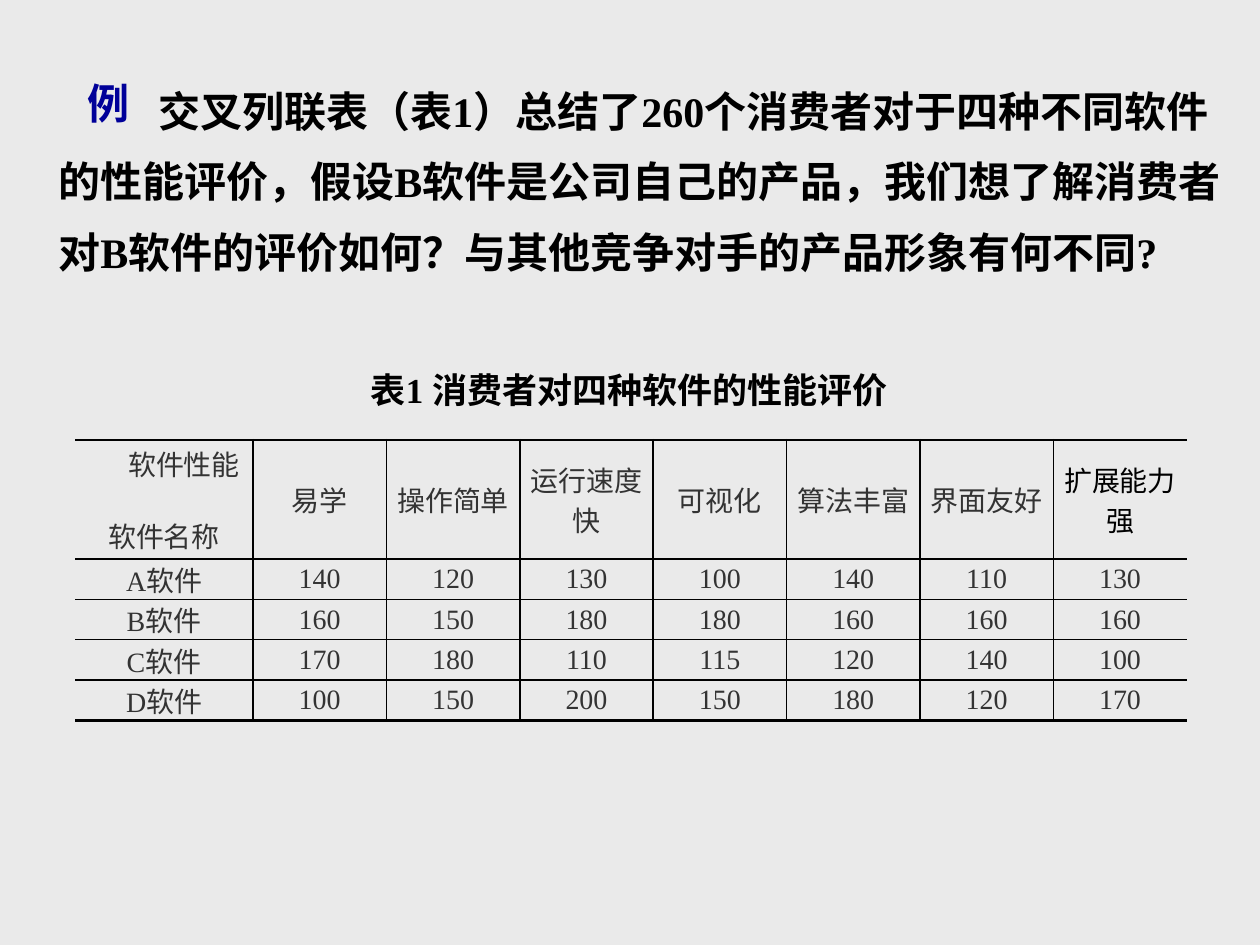
"""Build the slide on consumer ratings of four software products."""
from lxml import etree
from pptx import Presentation, util as u
from pptx.dml.color import RGBColor
from pptx.enum import text
from pptx.oxml.ns import qn

LATIN, CJK = "Times New Roman", "Noto Sans CJK SC"
INK, GREY, BLUE, PAPER = "000000", "333333", "000099", "EAEAEA"

QUESTION = "交叉列联表（表1）总结了260个消费者对于四种不同软件的性能评价，假设B软件是公司自己的产品，我们想了解消费者对B软件的评价如何？与其他竞争对手的产品形象有何不同?"
CAPTION = "表1 消费者对四种软件的性能评价"
CORNER = ("软件性能", "软件名称")
FEATURES = ["易学", "操作简单", "运行速度快", "可视化", "算法丰富", "界面友好", "扩展能力强"]
RATINGS = {
    "A软件": [140, 120, 130, 100, 140, 110, 130],
    "B软件": [160, 150, 180, 180, 160, 160, 160],
    "C软件": [170, 180, 110, 115, 120, 140, 100],
    "D软件": [100, 150, 200, 150, 180, 120, 170],
}
TABLE_BOX = (75, 440, 1112, 279)
NAME_W, HEAD_H, ROW_H = 178, 119, 40


def px(n):
    return u.Emu(round(n * 914400 / 126))


def rgb(value):
    return RGBColor.from_string(value)


def write(p, content, size=16, color=GREY, bold=False, font=LATIN,
          align=text.PP_ALIGN.CENTER, indent=0, spacing=None, before=0):
    p.alignment, p.line_spacing, p.space_before = align, spacing, u.Pt(before)
    pPr = p._p.get_or_add_pPr()
    pPr.set("marL", "0")
    pPr.set("indent", str(px(indent)))
    r = p.add_run()
    r.text = content
    r.font.size, r.font.bold, r.font.name = u.Pt(size), bold, font
    r.font.color.rgb = rgb(color)
    etree.SubElement(r._r.get_or_add_rPr(), qn("a:ea"), typeface=CJK)


def set_up(sp, box, anchor=text.MSO_ANCHOR.TOP):
    sp.left, sp.top, sp.width, sp.height = map(px, box)
    tf = sp.text_frame
    tf.word_wrap, tf.auto_size = True, text.MSO_AUTO_SIZE.NONE
    tf.vertical_anchor = anchor
    return tf.paragraphs[0]


def set_borders(cell, widths):
    tcPr = cell._tc.get_or_add_tcPr()
    for i, (side, width) in enumerate(zip("LRTB", widths)):
        ln = etree.Element(qn(f"a:ln{side}"), w=str(u.Pt(width)))
        if width:
            fill = etree.SubElement(ln, qn("a:solidFill"))
            etree.SubElement(fill, qn("a:srgbClr"), val=INK)
        else:
            etree.SubElement(ln, qn("a:noFill"))
        tcPr.insert(i, ln)


def add_ratings(s):
    rows = [[None, *FEATURES]] + [[name, *map(str, v)] for name, v in RATINGS.items()]
    last_row, last_col = len(rows) - 1, len(FEATURES)
    table = s.shapes.add_table(len(rows), last_col + 1, *map(px, TABLE_BOX)).table
    table.first_row = table.horz_banding = False
    for j, col in enumerate(table.columns):
        col.width = px((TABLE_BOX[2] - NAME_W) / last_col) if j else px(NAME_W)
    for i, row in enumerate(rows):
        table.rows[i].height = px(ROW_H if i else HEAD_H)
        for j, value in enumerate(row):
            cell = table.cell(i, j)
            cell.fill.background()
            cell.vertical_anchor = text.MSO_ANCHOR.MIDDLE
            cell.margin_left = cell.margin_right = px(9)
            cell.margin_top = cell.margin_bottom = 0
            set_borders(cell, (int(j > 0), int(j < last_col),
                               1 if i else 1.5, 1 if i < last_row else 1.5))
            tf = cell.text_frame
            if value is None:
                write(tf.paragraphs[0], CORNER[0], indent=40)
                write(tf.add_paragraph(), CORNER[1], before=18)
            else:
                write(tf.paragraphs[0], value,
                      color=INK if (i, j) == (0, last_col) else GREY)


def main():
    prs = Presentation()
    prs.slide_width, prs.slide_height = px(1260), px(945)
    s = prs.slides.add_slide(prs.slide_layouts[5])
    s.background.fill.solid()
    s.background.fill.fore_color.rgb = rgb(PAPER)

    left = text.PP_ALIGN.LEFT
    question = s.shapes.add_textbox(0, 0, 0, 0)
    write(set_up(question, (46, 59, 1212, 218)), QUESTION, size=24, color=INK,
          bold=True, align=left, indent=100, spacing=1.4)
    label = s.shapes.add_textbox(0, 0, 0, 0)
    write(set_up(label, (75, 71, 96, 63)), "例", size=24, color=BLUE,
          bold=True, font=CJK, align=left)
    add_ratings(s)
    write(set_up(s.shapes.title, (355, 362, 549, 55), text.MSO_ANCHOR.MIDDLE),
          CAPTION, size=20, color=INK, bold=True)
    prs.save("out.pptx")


if __name__ == "__main__":
    main()
